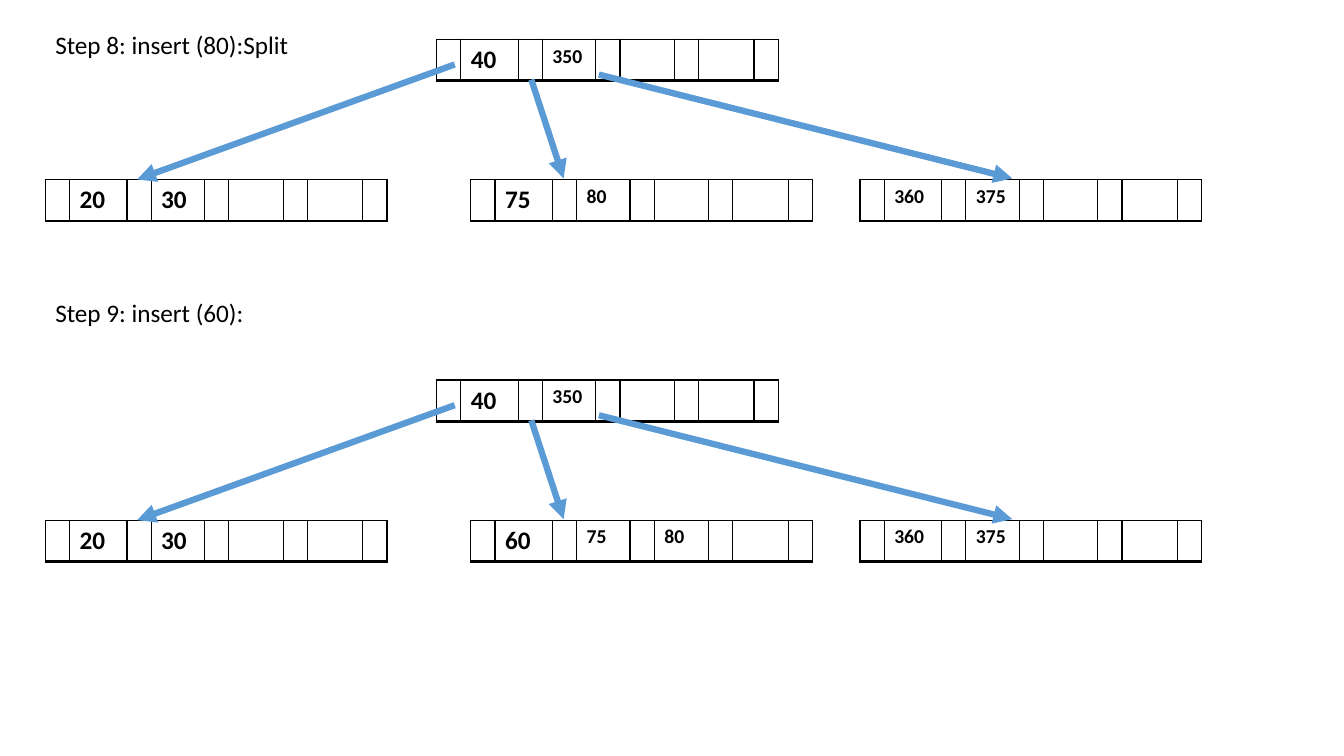
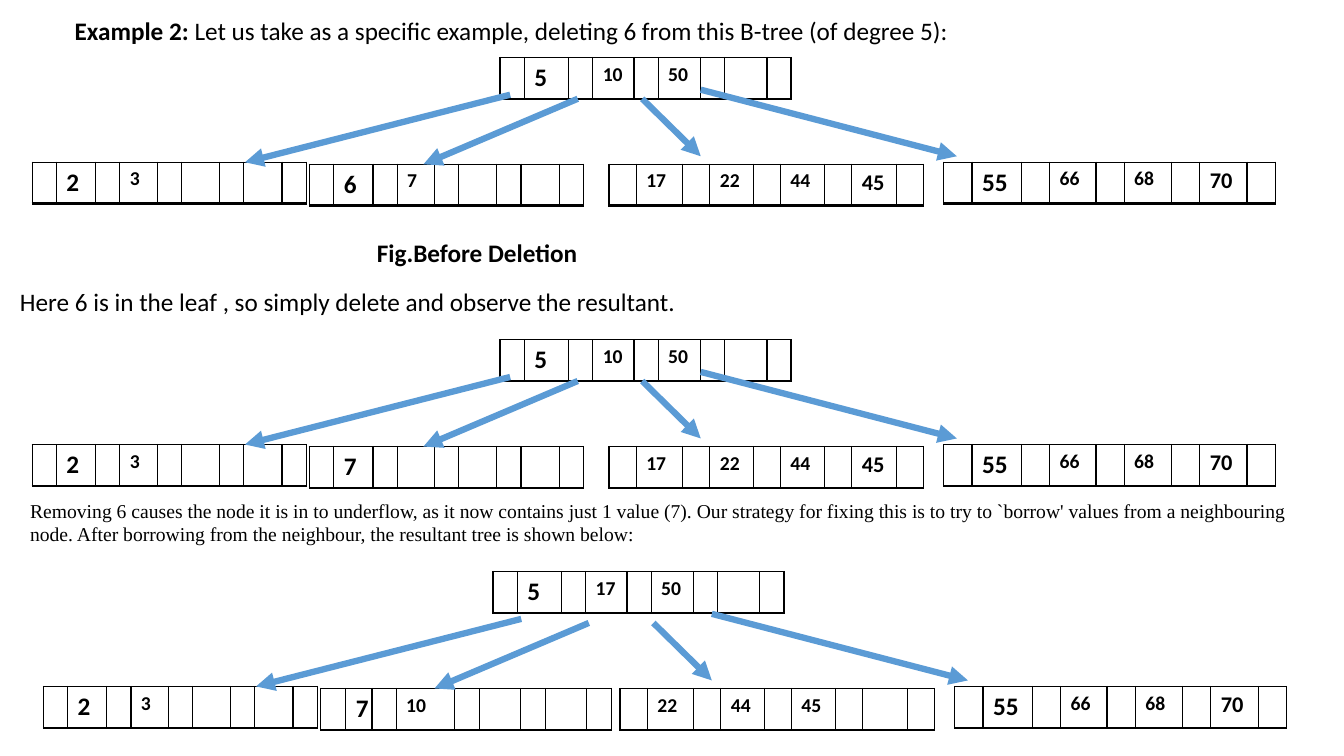
from lxml import etree
from pptx import Presentation
from pptx.dml.color import RGBColor
from pptx.enum.shapes import MSO_CONNECTOR
from pptx.enum.text import MSO_ANCHOR, MSO_AUTO_SIZE, PP_ALIGN
from pptx.oxml.ns import qn
from pptx.util import Inches, Pt

STRAIGHT = MSO_CONNECTOR.STRAIGHT
MIDDLE = MSO_ANCHOR.MIDDLE
LEFT = PP_ALIGN.LEFT
NO_FIT, GROW = MSO_AUTO_SIZE.NONE, MSO_AUTO_SIZE.SHAPE_TO_FIT_TEXT

BLACK = RGBColor(0x00, 0x00, 0x00)
WHITE = RGBColor(0xFF, 0xFF, 0xFF)
BLUE = RGBColor(0x5B, 0x9B, 0xD5)

SANS, SERIF = "Calibri", "Times New Roman"
BIG, MID, SMALL = 18, 16, 14
ROW_H = 0.41
BORDERS = (("a:lnL", 1), ("a:lnR", 1), ("a:lnT", 1), ("a:lnB", 2))


def node_columns(pointer, *keys):
    """Column widths of a node: a pointer on each side of every key."""
    return [pointer] + [w for key in keys for w in (key, pointer)]


STEP_NODE = node_columns(0.24, 0.57, 0.53, 0.54, 0.55)
ROOT_NODE = node_columns(0.23, 0.44, 0.41, 0.42, 0.42)
SMALL_LEAF = node_columns(0.23, 0.39, 0.37, 0.38, 0.38)
BORROWING_LEAF = [0.25, 0.26, 0.23, 0.58, 0.25, 0.4, 0.25, 0.41, 0.25]
MEDIUM_LEAF = node_columns(0.27, 0.46, 0.43, 0.44, 0.44)
WIDE_LEAF = node_columns(0.28, 0.49, 0.46, 0.47, 0.47)

STEP_ARROWS = [
    (4.51, 0.64, 1.36, 1.78),
    (5.27, 0.79, 5.59, 1.77),
    (5.94, 0.74, 10.04, 1.77),
]
DELETION_ARROWS = [
    (5.06, 0.94, 2.43, 1.61),
    (5.73, 0.98, 4.2, 1.63),
    (6.37, 0.98, 6.95, 1.55),
    (6.95, 0.89, 9.49, 1.55),
]


def style_font(font, size, bold=None, name=SANS):
    font.name, font.size, font.bold = name, Pt(size), bold
    font.color.rgb = BLACK


def add_text(s, left, top, width, height, text, size=BIG, bold=False, name=SANS):
    tf = s.shapes.add_textbox(Inches(left), Inches(top), Inches(width), Inches(height)).text_frame
    tf.word_wrap = True
    tf.auto_size = GROW
    p = tf.paragraphs[0]
    p.text = text
    style_font(p.font, size, bold, name)


def set_title(s, lead, rest):
    """Fill the title with a bold lead and a regular remainder."""
    title = s.shapes.title
    title.left, title.top = Inches(0.64), Inches(0.08)
    title.width, title.height = Inches(11.5), Inches(0.49)
    tf = title.text_frame
    tf.vertical_anchor = MIDDLE
    tf.word_wrap = True
    tf.auto_size = NO_FIT
    p = tf.paragraphs[0]
    p.alignment = LEFT
    p.line_spacing = 0.9
    style_font(p.font, BIG)
    for text, bold in ((lead, True), (rest, False)):
        r = p.add_run()
        r.text = text
        r.font.bold = bold


def format_cell(cell):
    tcPr = cell._tc.get_or_add_tcPr()
    for tag, width in BORDERS:
        ln = etree.SubElement(tcPr, qn(tag), w=str(Pt(width)))
        fill = etree.SubElement(ln, qn("a:solidFill"))
        etree.SubElement(fill, qn("a:srgbClr"), val=str(BLACK))
    cell.fill.solid()
    cell.fill.fore_color.rgb = WHITE


def add_node(s, left, top, columns, keys):
    """Draw a B-tree node; keys are (text, size) pairs for the odd columns."""
    table = s.shapes.add_table(1, len(columns), Inches(left), Inches(top),
                               Inches(sum(columns)), Inches(ROW_H)).table
    table.first_row = table.horz_banding = False
    table.rows[0].height = Inches(ROW_H)
    for i, width in enumerate(columns):
        table.columns[i].width = Inches(width)
        format_cell(table.cell(0, i))
    for i, (text, size) in enumerate(keys):
        p = table.cell(0, 2 * i + 1).text_frame.paragraphs[0]
        p.text = text
        style_font(p.font, size, True)


def add_arrow(s, x1, y1, x2, y2):
    c = s.shapes.add_connector(STRAIGHT, Inches(x1), Inches(y1), Inches(x2), Inches(y2))
    c.line.color.rgb = BLUE
    c.line.width = Pt(4.5)
    spPr = c.element.spPr
    etree.SubElement(spPr.find(qn("a:ln")), qn("a:tailEnd"), type="triangle")
    etree.SubElement(spPr, qn("a:effectLst"))


def add_arrows(s, arrows, dx=0, dy=0):
    for x1, y1, x2, y2 in arrows:
        add_arrow(s, x1 + dx, y1 + dy, x2 + dx, y2 + dy)


def add_step(s, dy, middle_keys):
    """Draw a root with three leaves, of which only the middle one varies."""
    nodes = [
        (4.33, 0.39, [("40", BIG), ("350", SMALL)]),
        (0.45, 1.78, [("20", BIG), ("30", BIG)]),
        (4.67, 1.78, middle_keys),
        (8.53, 1.78, [("360", SMALL), ("375", SMALL)]),
    ]
    for left, top, keys in nodes:
        add_node(s, left, top + dy, STEP_NODE, keys)
    add_arrows(s, STEP_ARROWS, dy=dy)


def add_deletion_tree(s, root, second, third, dx=0, dy=0, root_at=(4.96, 0.57),
                      second_columns=SMALL_LEAF):
    """Draw a root with four leaves; the outer leaves stay the same."""
    add_node(s, *root_at, ROOT_NODE, root)
    leaves = [
        (0.32, 1.61, SMALL_LEAF, [("2", BIG), ("3", SMALL)]),
        (3.07, 1.63, second_columns, second),
        (6.04, 1.63, MEDIUM_LEAF, third),
        (9.36, 1.61, WIDE_LEAF, [("55", BIG), ("66", SMALL), ("68", SMALL), ("70", MID)]),
    ]
    for left, top, columns, keys in leaves:
        add_node(s, left + dx, top + dy, columns, keys)
    add_arrows(s, DELETION_ARROWS, dx, dy)


def build_insertion(prs):
    s = prs.slides.add_slide(prs.slide_layouts[6])
    add_text(s, 0.45, 0.24, 6.44, 0.4, "Step 8: insert (80):Split")
    add_step(s, 0, [("75", BIG), ("80", SMALL)])
    add_text(s, 0.45, 2.9, 6.44, 0.4, "Step 9: insert (60):")
    add_step(s, 3.38, [("60", BIG), ("75", SMALL), ("80", SMALL)])


def build_deletion(prs):
    s = prs.slides.add_slide(prs.slide_layouts[5])
    set_title(s, "Example 2: ",
              "Let us take as a specific example, deleting 6 from this B-tree (of degree 5):")
    root = [("5", BIG), ("10", SMALL), ("50", SMALL)]
    third = [("17", SMALL), ("22", SMALL), ("44", SMALL), ("45", MID)]
    add_deletion_tree(s, root, [("6", BIG), ("7", SMALL)], third)
    add_text(s, 3.64, 2.31, 6.3, 0.4, "Fig.Before Deletion", bold=True)
    add_text(s, 0.1, 2.79, 12.84, 0.4,
             "Here 6 is in the leaf , so simply delete and observe the resultant.")
    add_deletion_tree(s, root, [("7", BIG)], third, dy=2.8, root_at=(4.96, 3.37))
    add_text(s, 0.2, 4.9, 12.74, 0.57,
             "Removing 6 causes the node it is in to underflow, as it now contains just 1 value (7). "
             "Our strategy for fixing this is to try to `borrow' values from a neighbouring node. "
             "After borrowing from the neighbour, the resultant tree is shown below:",
             SMALL, name=SERIF)
    add_deletion_tree(s, [("5", BIG), ("17", SMALL), ("50", SMALL)],
                      [("7", BIG), ("10", SMALL)],
                      [("22", SMALL), ("44", SMALL), ("45", SMALL)],
                      dx=0.11, dy=5.2, root_at=(4.89, 5.67), second_columns=BORROWING_LEAF)


def main():
    prs = Presentation()
    prs.slide_width, prs.slide_height = Inches(13.33), Inches(7.5)
    build_insertion(prs)
    build_deletion(prs)
    prs.save("out.pptx")


if __name__ == "__main__":
    main()
